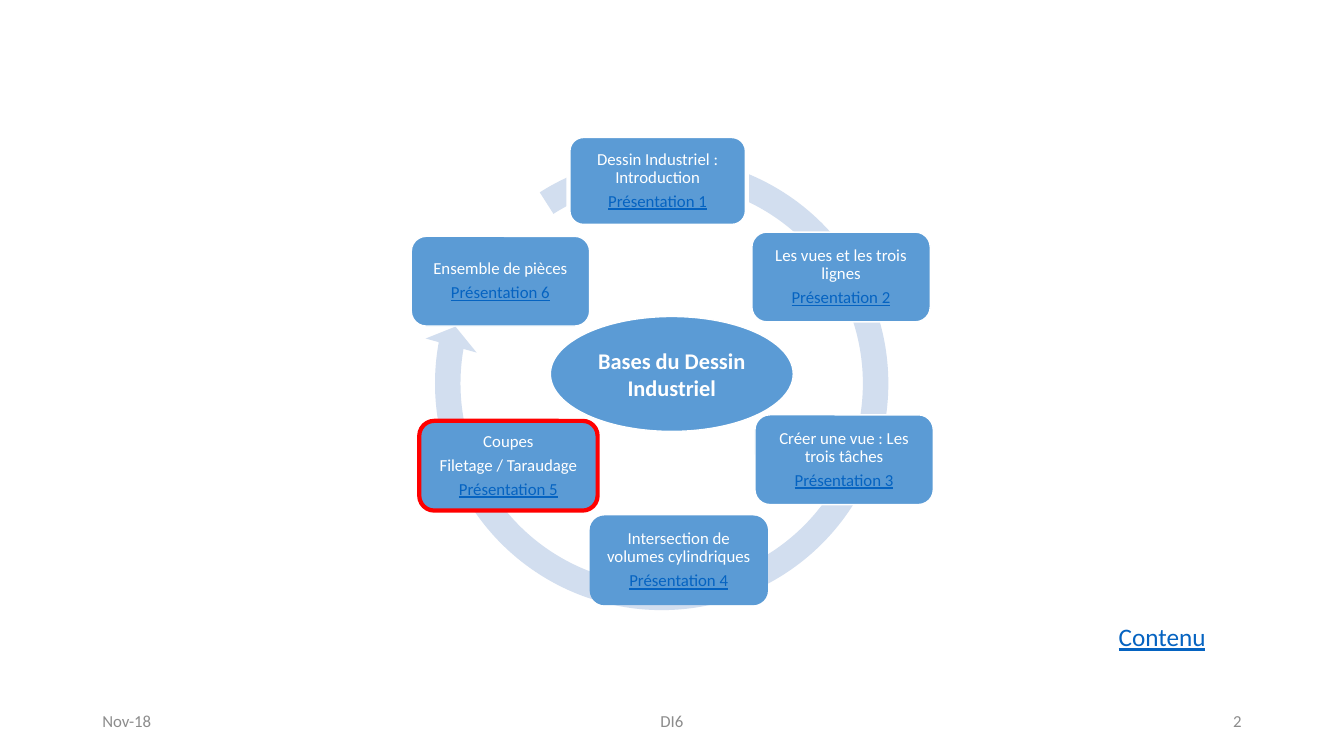
"""Build the slide with the ring of six linked talks on technical drawing."""
from dataclasses import dataclass

from pptx import Presentation
from pptx.dml.color import RGBColor
from pptx.enum.shapes import MSO_SHAPE as Kind
from pptx.enum.text import MSO_ANCHOR as Anchor, PP_ALIGN as Align
from pptx.shapes.autoshape import Shape
from pptx.slide import Slide
from pptx.util import Pt

WHITE = RGBColor(0xFF, 0xFF, 0xFF)
BLUE = RGBColor(0x5B, 0x9B, 0xD5)
PALE = RGBColor(0xD2, 0xDE, 0xEF)
RED = RGBColor(0xFF, 0x00, 0x00)
LINK = RGBColor(0x05, 0x63, 0xC1)
GREY = RGBColor(0x8C, 0x8C, 0x8C)

FONT = "Calibri"
CARD_W, CARD_H = 127.4, 64.1
INSET = 3.6
FOOT_Y, FOOT_H = 500.4, 28.8


@dataclass
class Card:
    left: float
    top: float
    lines: list[str]
    edge: RGBColor | None = WHITE
    width: float = 1


@dataclass
class Label:
    text: str
    left: float
    top: float
    width: float
    size: float = 12
    color: RGBColor = GREY
    align: Align = Align.LEFT
    anchor: Anchor = Anchor.MIDDLE
    under: bool = False


CARDS = [
    Card(406.1, 97.2, ["Dessin Industriel : Introduction"], WHITE, 3),
    Card(537.1, 165.8, ["Les vues et les trois lignes"]),
    Card(539.3, 296.3, ["Créer une vue : Les trois tâches"]),
    Card(421.2, 368.2, ["Intersection de volumes cylindriques"], None),
    Card(299.5, 300.6, ["Coupes", "Filetage / Taraudage"], RED, 3),
    Card(293.8, 168.8, ["Ensemble de pièces"]),
]
LABELS = [
    Label("Nov-18", 66, FOOT_Y, 216),
    Label("DI6", 318, FOOT_Y, 324, align=Align.CENTER),
    Label("2", 678, FOOT_Y, 216, align=Align.RIGHT),
    Label("Contenu", 792, 440.6, 88.6, 18, LINK, anchor=Anchor.TOP, under=True),
]


def apply(item: object, style: dict[str, object]) -> None:
    """Set each named value on the item."""
    for name, value in style.items():
        setattr(item, name, value)


def write(shape: Shape, lines: list[str], size: float, color: RGBColor,
          align: Align, **style: object) -> None:
    """Fill a shape with one styled paragraph per line."""
    frame = shape.text_frame
    frame.word_wrap = True
    frame.text = "\n".join(lines)
    for para in frame.paragraphs:
        para.alignment = align
        font = para.runs[0].font
        apply(font, {"name": FONT, "size": Pt(size), **style})
        font.color.rgb = color


def draw(slide: Slide, kind: Kind, left: float, top: float, width: float,
         height: float, fill: RGBColor, edge: RGBColor | None = None,
         weight: float = 1) -> Shape:
    """Add a flat preset shape with an optional edge."""
    shape = slide.shapes.add_shape(
        kind, Pt(left), Pt(top), Pt(width), Pt(height))
    shape.shadow.inherit = False
    shape.fill.solid()
    shape.fill.fore_color.rgb = fill
    if edge is None:
        shape.line.fill.background()
    else:
        shape.line.color.rgb = edge
        shape.line.width = Pt(weight)
    return shape


def add_ring(slide: Slide) -> None:
    """Add the round arrow behind the cards."""
    ring = draw(slide, Kind.CIRCULAR_ARROW, 301, 102.2, 343.4, 343.4, PALE)
    ring.rotation = 312.4
    for index, value in enumerate((0.053, 3.126, 142.684, 171.035, 0.055)):
        ring.adjustments[index] = value


def add_card(slide: Slide, card: Card, number: int) -> None:
    """Add one card that ends with its numbered link."""
    shape = draw(slide, Kind.ROUNDED_RECTANGLE, card.left, card.top,
                 CARD_W, CARD_H, BLUE, card.edge, card.width)
    write(shape, [*card.lines, f"Présentation {number}"], 12, WHITE,
          Align.CENTER)
    frame = shape.text_frame
    sides = ("left", "top", "right", "bottom")
    apply(frame, {f"margin_{side}": Pt(INSET) for side in sides})
    frame.vertical_anchor = Anchor.MIDDLE
    for para in frame.paragraphs:
        apply(para, {"line_spacing": 0.9, "space_after": Pt(4.2)})
    font = frame.paragraphs[-1].runs[0].font
    font.underline = True
    font.color.rgb = LINK


def add_hub(slide: Slide) -> None:
    """Add the oval in the centre."""
    hub = draw(slide, Kind.OVAL, 393.1, 226.1, 173.5, 82.1, BLUE, WHITE)
    write(hub, ["Bases du Dessin Industriel"], 16, WHITE, Align.CENTER,
          bold=True)
    hub.text_frame.vertical_anchor = Anchor.MIDDLE


def add_label(slide: Slide, label: Label) -> None:
    """Add one plain text box."""
    box = slide.shapes.add_textbox(
        Pt(label.left), Pt(label.top), Pt(label.width), Pt(FOOT_H))
    write(box, [label.text], label.size, label.color, label.align,
          underline=label.under)
    box.text_frame.vertical_anchor = label.anchor


def main() -> None:
    """Build and save the deck."""
    deck = Presentation()
    apply(deck, {"slide_width": Pt(960), "slide_height": Pt(540)})
    slide = deck.slides.add_slide(deck.slide_layouts[6])
    add_ring(slide)
    for number, card in enumerate(CARDS, 1):
        add_card(slide, card, number)
    add_hub(slide)
    for label in LABELS:
        add_label(slide, label)
    deck.save("out.pptx")


if __name__ == "__main__":
    main()
